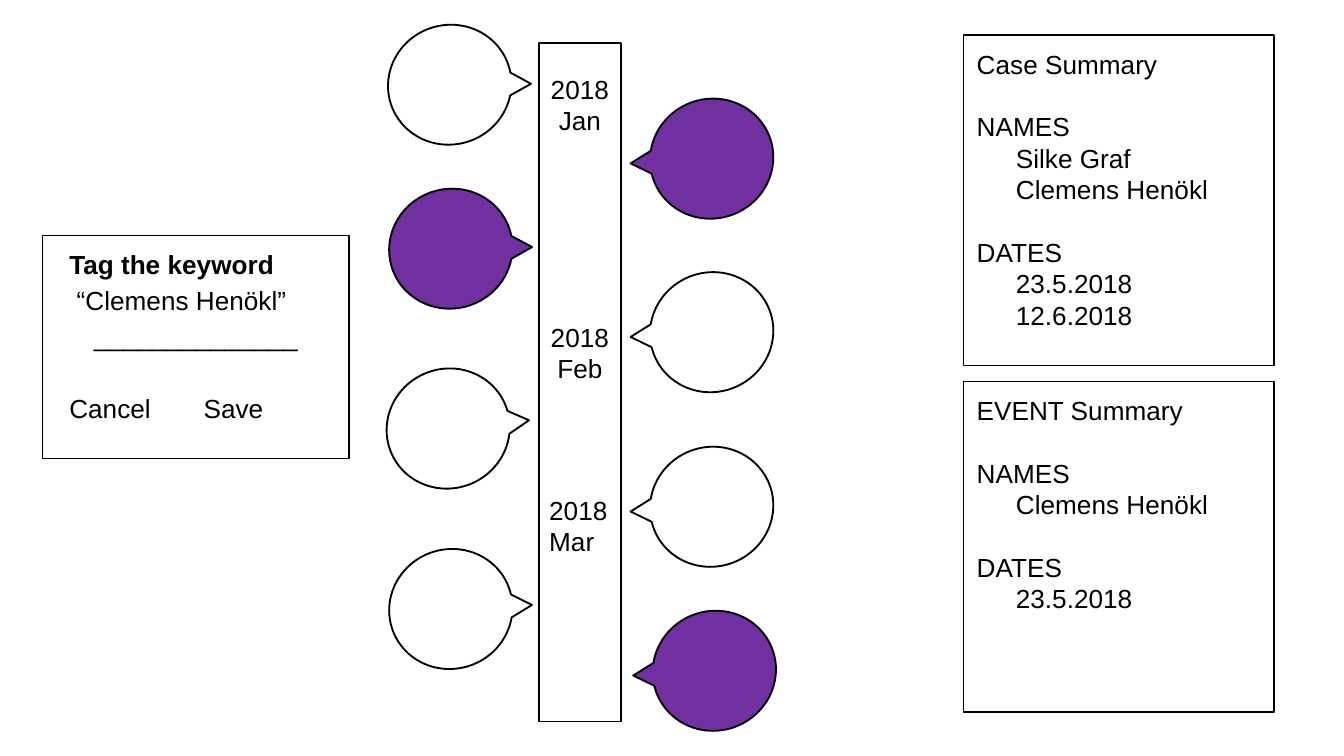
from lxml.etree import SubElement
from pptx import Presentation
from pptx.dml.color import RGBColor
from pptx.enum.shapes import MSO_SHAPE
from pptx.enum.text import MSO_ANCHOR, PP_ALIGN
from pptx.oxml.ns import qn
from pptx.util import Cm, Pt

BLACK = RGBColor(0x00, 0x00, 0x00)
WHITE = RGBColor(0xFF, 0xFF, 0xFF)
PURPLE = RGBColor(0x70, 0x30, 0xA0)

BLANK_LINE = Pt(16.8)
TAG_BLANK_LINE = Pt(19.3)


class SlideBuilder:
    font_format = {"name": "Arial", "size": Pt(14), "bold": False}
    frame_format = {
        "word_wrap": True,
        "vertical_anchor": MSO_ANCHOR.TOP,
        "margin_left": Cm(0.25),
        "margin_top": Cm(0.25),
        "margin_right": Cm(0.25),
        "margin_bottom": Cm(0.25),
    }

    def __init__(self, slide):
        self.slide = slide

    def shape(self, kind, left, top, width, height, fill=None, line_width=1):
        shape = self.slide.shapes.add_shape(
            kind, Cm(left), Cm(top), Cm(width), Cm(height))
        shape.shadow.inherit = False
        if fill is None:
            shape.fill.background()
        else:
            shape.fill.solid()
            shape.fill.fore_color.rgb = fill
        shape.line.color.rgb = BLACK
        shape.line.width = Pt(line_width)
        return shape

    def bubble(self, left, top, rotation, fill):
        shape = self.shape(MSO_SHAPE.OVAL_CALLOUT, left, top, 2.26, 2.34, fill)
        shape.adjustments[0] = -0.208
        shape.adjustments[1] = 0.625
        shape.rotation = rotation

    def box(self, left, top, width, height, lines, fill=None):
        shape = self.shape(MSO_SHAPE.RECTANGLE, left, top, width, height, fill, 0.75)
        self.fill_text(shape.text_frame, lines)

    def label(self, left, top, width, height, lines):
        shape = self.slide.shapes.add_textbox(
            Cm(left), Cm(top), Cm(width), Cm(height))
        self.fill_text(shape.text_frame, lines)

    def fill_text(self, frame, lines):
        """Each line is a text and a dict of its format values."""
        for name, value in self.frame_format.items():
            setattr(frame, name, value)
        for index, (text, format_values) in enumerate(lines):
            paragraph = frame.paragraphs[0] if index == 0 else frame.add_paragraph()
            values = {"alignment": PP_ALIGN.LEFT, **format_values}
            indent = values.pop("indent", 0)
            tab = values.pop("tab", None)
            bold = values.pop("bold", False)
            for name, value in values.items():
                setattr(paragraph, name, value)
            properties = paragraph._p.get_or_add_pPr()
            properties.set("marL", str(Cm(indent)))
            properties.set("indent", "0")
            if tab is not None:
                tab_list = SubElement(properties, qn("a:tabLst"))
                SubElement(tab_list, qn("a:tab"), pos=str(Cm(tab)), algn="l")
            run = paragraph.add_run()
            run.text = text
            for name, value in {**self.font_format, "bold": bold}.items():
                setattr(run.font, name, value)
            run.font.color.rgb = BLACK


def summary_lines(title, names, dates):
    lines = [(title, {})]
    for heading, entries in (("NAMES", names), ("DATES", dates)):
        lines.append((heading, {"space_before": BLANK_LINE}))
        lines += [(entry, {"indent": 0.74}) for entry in entries]
    return lines


def main():
    presentation = Presentation()
    presentation.slide_width = Cm(25.4)
    presentation.slide_height = Cm(14.29)
    builder = SlideBuilder(
        presentation.slides.add_slide(presentation.slide_layouts[6]))

    # Timeline bar
    builder.shape(MSO_SHAPE.RECTANGLE, 10.19, 0.81, 1.55, 12.83, WHITE)

    # Event bubbles on both sides of the bar
    for left, top, rotation, fill in (
        (7.37, 0.43, 251.5, WHITE),
        (7.39, 3.53, 251, PURPLE),
        (7.34, 6.93, 246.3, WHITE),
        (7.39, 10.34, 249.3, WHITE),
        (12.32, 1.83, 68.8, PURPLE),
        (12.32, 5.11, 68.8, WHITE),
        (12.32, 8.41, 68.8, WHITE),
        (12.37, 11.51, 68.8, PURPLE),
    ):
        builder.bubble(left, top, rotation, fill)

    # Month labels
    for month, left, top, alignment in (
        ("Jan", 10.11, 1.14, PP_ALIGN.CENTER),
        ("Feb", 10.11, 5.82, PP_ALIGN.CENTER),
        ("Mar", 10.13, 9.09, PP_ALIGN.LEFT),
    ):
        builder.label(left, top, 1.7, 1.52,
                      [(text, {"alignment": alignment}) for text in ("2018", month)])

    # Summary panels
    for top, title, names, dates in (
        (0.66, "Case Summary", ["Silke Graf", "Clemens Henökl"],
         ["23.5.2018", "12.6.2018"]),
        (7.21, "EVENT Summary", ["Clemens Henökl"], ["23.5.2018"]),
    ):
        builder.box(18.21, top, 5.87, 6.25, summary_lines(title, names, dates))

    # Keyword tagging dialog
    spaced = {"line_spacing": 1.15}
    builder.box(0.81, 4.45, 5.79, 4.22, [
        ("Tag the keyword", {"indent": 0.25, "bold": True}),
        ("“Clemens Henökl”", {**spaced, "indent": 0.39}),
        ("______________", {**spaced, "alignment": PP_ALIGN.CENTER}),
        ("Cancel\tSave", {**spaced, "indent": 0.25, "tab": 3.73,
                          "space_before": TAG_BLANK_LINE}),
    ], WHITE)

    presentation.save("out.pptx")


if __name__ == "__main__":
    main()
